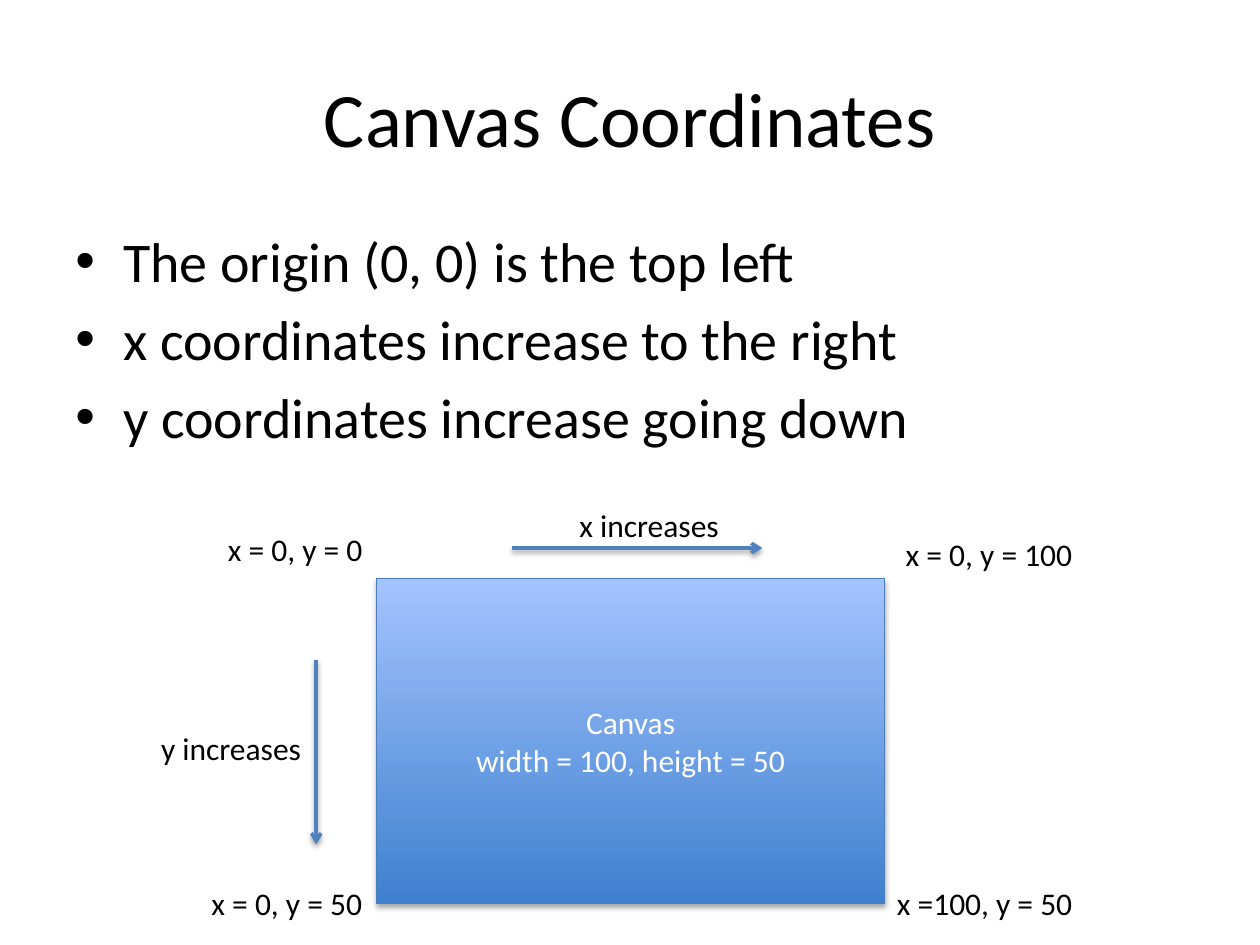
from dataclasses import dataclass

from lxml import etree
from pptx import Presentation
from pptx import util as u
from pptx.dml import color
from pptx.enum import shapes, text
from pptx.oxml import ns

FONT = "Calibri"
BLACK = "000000"
WHITE = "FFFFFF"
ARROW_BLUE = "4F81BD"


@dataclass
class Label:
    words: str
    left: float
    top: float
    width: float


@dataclass
class Arrow:
    start: tuple[float, float]
    end: tuple[float, float]


LABELS = [
    Label("x = 0, y = 0", 1.71, 4.16, 1.28),
    Label("x =100, y = 50", 7.02, 6.97, 1.61),
    Label("x = 0, y = 50", 1.58, 6.97, 1.41),
    Label("x = 0, y = 100", 7.09, 4.2, 1.54),
    Label("x increases", 4.5, 3.97, 1.32),
    Label("y increases", 1.18, 5.74, 1.33),
]
ARROWS = [
    Arrow((4.06, 4.35), (6.05, 4.35)),
    Arrow((2.51, 5.24), (2.51, 6.7)),
]
BULLETS = [
    "The origin (0, 0) is the top left",
    "x coordinates increase to the right",
    "y coordinates increase going down",
]


def rgb(value: str) -> color.RGBColor:
    return color.RGBColor.from_string(value)


def add_element(parent, tag: str, **attributes):
    names = {name: str(value) for name, value in attributes.items()}
    return etree.SubElement(parent, ns.qn(tag), names)


def add_shadow(properties, distance: float, opacity: int) -> None:
    effects = add_element(properties, "a:effectLst")
    shadow = add_element(effects, "a:outerShdw", blurRad=u.Pt(3.1), dist=u.Pt(distance),
                         dir=90 * 60000, rotWithShape=0)
    tint = add_element(shadow, "a:srgbClr", val=BLACK)
    add_element(tint, "a:alpha", val=opacity * 1000)


def write(frame, lines: list[str], size: float, ink: str = BLACK,
          align=text.PP_ALIGN.LEFT, bulleted: bool = False) -> None:
    for index, line in enumerate(lines):
        para = frame.add_paragraph() if index else frame.paragraphs[0]
        para.alignment = align
        if bulleted:
            indent = u.Inches(0.38)
            settings = para._p.get_or_add_pPr()
            settings.set("marL", str(indent))
            settings.set("indent", str(-indent))
            add_element(settings, "a:buFont", typeface="Arial")
            add_element(settings, "a:buChar", char="•")
            if index:
                para.space_before = u.Pt(6)
        span = para.add_run()
        span.text = line
        span.font.name = FONT
        span.font.size = u.Pt(size)
        span.font.color.rgb = rgb(ink)


def add_box(page, left: float, top: float, width: float, height: float, wrap: bool = True):
    box = page.shapes.add_textbox(u.Inches(left), u.Inches(top), u.Inches(width), u.Inches(height))
    box.text_frame.word_wrap = wrap
    return box.text_frame


def add_label(page, label: Label) -> None:
    frame = add_box(page, label.left, label.top, label.width, 0.4, wrap=False)
    frame.auto_size = text.MSO_AUTO_SIZE.SHAPE_TO_FIT_TEXT
    write(frame, [label.words], 18)


def add_arrow(page, arrow: Arrow) -> None:
    points = [u.Inches(value) for value in (*arrow.start, *arrow.end)]
    connector = page.shapes.add_connector(shapes.MSO_CONNECTOR.STRAIGHT, *points)
    connector.line.color.rgb = rgb(ARROW_BLUE)
    connector.line.width = u.Pt(2)
    add_element(connector.line._get_or_add_ln(), "a:tailEnd", type="arrow")
    add_shadow(connector._element.spPr, 1.6, 38)


def add_canvas(page) -> None:
    canvas = page.shapes.add_shape(shapes.MSO_SHAPE.RECTANGLE, u.Inches(2.99), u.Inches(4.59),
                                   u.Inches(4.03), u.Inches(2.58))
    canvas.fill.gradient()
    canvas.fill.gradient_angle = 90
    for stop, position, shade in zip(canvas.fill.gradient_stops, (0, 1), ("3F80CE", "A4C4FF")):
        stop.position = position
        stop.color.rgb = rgb(shade)
    canvas.line.color.rgb = rgb("4B7EBC")
    canvas.line.width = u.Pt(0.75)
    add_shadow(canvas._element.spPr, 1.8, 35)
    canvas.text_frame.vertical_anchor = text.MSO_ANCHOR.MIDDLE
    write(canvas.text_frame, ["Canvas", "width = 100, height = 50"], 18, WHITE,
          text.PP_ALIGN.CENTER)


def main() -> None:
    deck = Presentation()
    deck.slide_width = u.Inches(10)
    deck.slide_height = u.Inches(7.5)
    page = deck.slides.add_slide(deck.slide_layouts[6])
    page.background.fill.solid()
    page.background.fill.fore_color.rgb = rgb(WHITE)

    title = add_box(page, 0.5, 0.3, 9, 1.25)
    title.vertical_anchor = text.MSO_ANCHOR.MIDDLE
    write(title, ["Canvas Coordinates"], 44, align=text.PP_ALIGN.CENTER)
    write(add_box(page, 0.5, 1.75, 9, 4.95), BULLETS, 32, bulleted=True)

    add_canvas(page)
    for arrow in ARROWS:
        add_arrow(page, arrow)
    for label in LABELS:
        add_label(page, label)
    deck.save("out.pptx")


if __name__ == "__main__":
    main()
